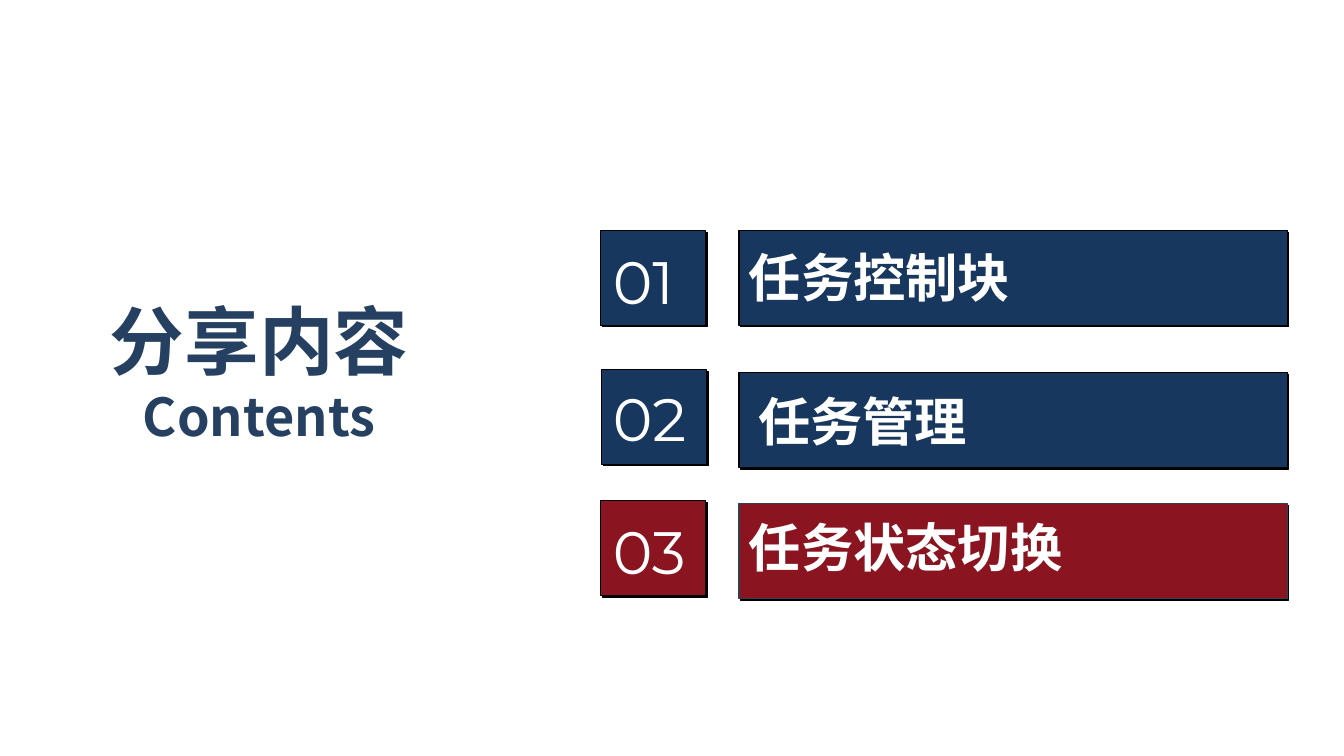
from lxml.etree import SubElement
from pptx import Presentation
from pptx.dml.color import RGBColor as RGB
from pptx.enum.shapes import MSO_SHAPE as SHAPE
from pptx.enum.text import MSO_AUTO_SIZE as FIT, PP_ALIGN as ALIGN
from pptx.oxml.ns import qn
from pptx.util import Inches, Pt

HUES = {"navy": "17375E", "red": "8A1420", "title": "254061",
        "white": "FFFFFF", "black": "000000", "slate": "323F4F"}
SANS = "Noto Sans CJK SC"

deck = Presentation()
deck.slide_width, deck.slide_height = Inches(13.33), Inches(7.5)
slide = deck.slides.add_slide(deck.slide_layouts[6])


def add_box(left, top, width, fill, edge):
    box = slide.shapes.add_shape(SHAPE.RECTANGLE, Inches(left), Inches(top),
                                 Inches(width), Inches(0.94))
    box.fill.solid()
    box.fill.fore_color.rgb = RGB.from_string(HUES[fill])
    box.line.color.rgb = RGB.from_string(HUES[edge])
    box.line.width = Pt(0.75)
    box.shadow.inherit = False
    effects = box._element.spPr.find(qn("a:effectLst"))
    shade = SubElement(effects, qn("a:outerShdw"), blurRad="0",
                       dist=str(Pt(1.4)), dir="2700000", algn="ctr", rotWithShape="0")
    SubElement(shade, qn("a:srgbClr"), val=HUES["black"])


def add_text(left, top, width, height, lines, font, hue, bold, wrap=True):
    frame = slide.shapes.add_textbox(Inches(left), Inches(top),
                                     Inches(width), Inches(height)).text_frame
    frame.word_wrap = wrap
    frame.auto_size = FIT.SHAPE_TO_FIT_TEXT
    frame.text = "\n".join(text for text, size in lines)
    for para, (text, size) in zip(frame.paragraphs, lines):
        if not wrap:
            para.alignment = ALIGN.CENTER
        run = para.runs[0]
        run.font.size = Pt(size)
        run.font.bold = bold
        run.font.color.rgb = RGB.from_string(HUES[hue])
        run.font.name = font
        SubElement(run._r.get_or_add_rPr(), qn("a:ea"), typeface=font)


add_text(0.97, 2.88, 3.2, 1.63, [("分享内容", 53.3), ("Contents", 37.3)],
         SANS, "title", True, wrap=False)

topics = [
    ("任务控制块", "navy", "black", (5.96, 2.29), 2.29, 2.38, (7.33, 2.38)),
    ("任务管理", "navy", "black", (5.97, 3.67), 3.7, 3.74, (7.42, 3.81)),
    ("任务状态切换", "red", "slate", (5.96, 4.97), 5, 5.06, (7.33, 5.06)),
]
for count, (name, fill, edge, tile, bar, digit, label) in enumerate(topics, 1):
    add_box(*tile, 1.04, fill, "black")
    add_box(7.33, bar, 5.44, fill, edge)
    add_text(5.98, digit, 1.12, 0.82, [(f"{count:02}", 42.7)],
             "Montserrat", "white", False)
    add_text(*label, 13.04 - label[0], 0.73, [(name, 37.3)], SANS, "white", True)

deck.save("out.pptx")
